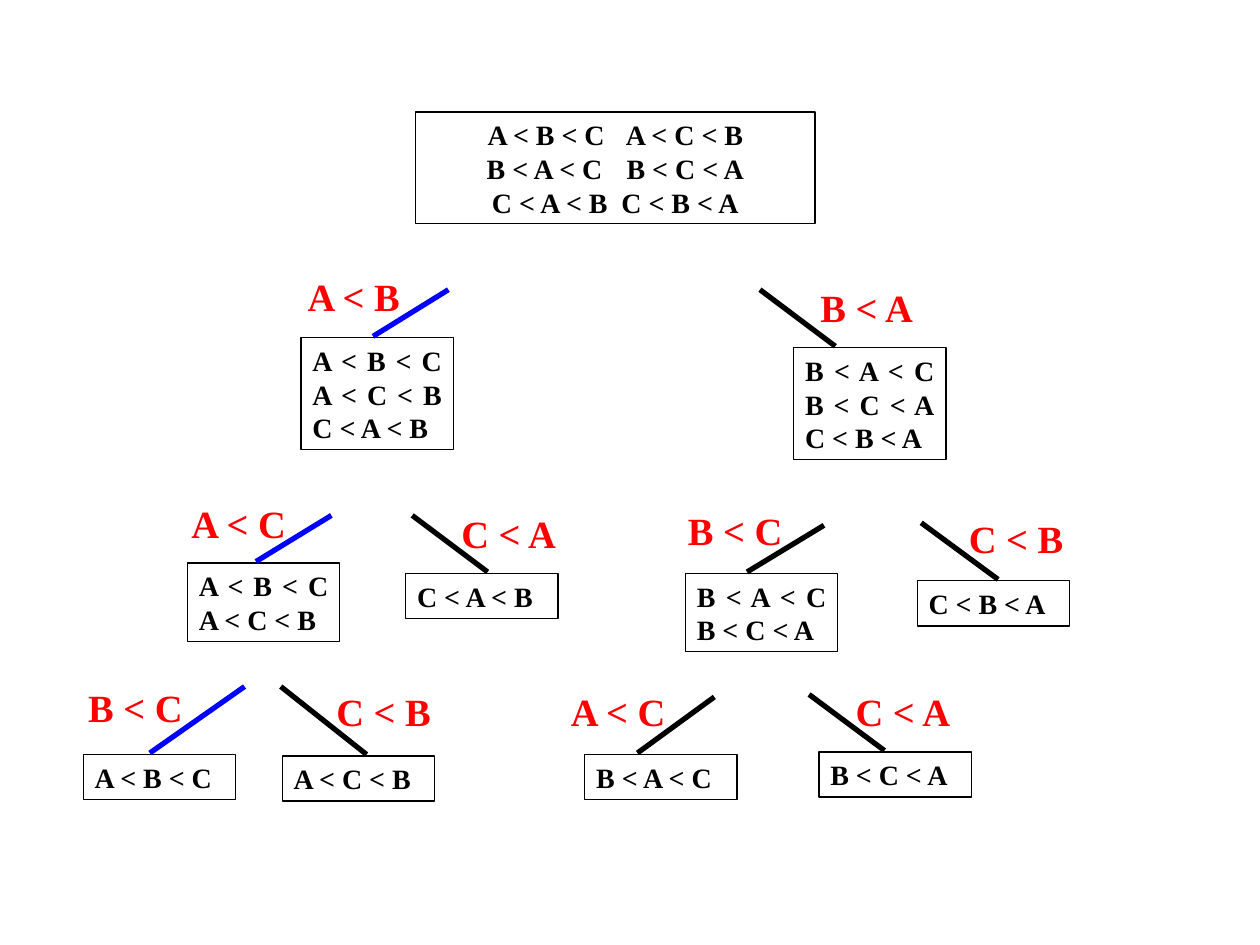
from copy import deepcopy
from dataclasses import dataclass

from lxml.etree import SubElement
from pptx import Presentation
from pptx.dml.color import RGBColor
from pptx.enum.shapes import MSO_CONNECTOR as Connector, MSO_SHAPE as Shape
from pptx.enum.text import MSO_ANCHOR as Anchor, MSO_AUTO_SIZE as AutoSize, PP_ALIGN as Align
from pptx.oxml.ns import qn
from pptx.util import Cm, Pt

COLORS = {"box": "FFFFFF", "ink": "000000", "label": "FF0000", "chosen": "0000FF"}
FONT = "Times New Roman"
BOX_WIDTH, LINE_HEIGHT, BOX_PADDING = 3.07, 0.67, 0.24
LABEL_WIDTH, LABEL_HEIGHT = 2.69, 1.17
LINE_GAP = 0.03
TAB_STEP, TAB_COUNT = 2.54, 8
FRAME_FORMAT = {
    "word_wrap": True,
    "auto_size": AutoSize.SHAPE_TO_FIT_TEXT,
    "vertical_anchor": Anchor.TOP,
    "margin_left": Cm(0.23),
    "margin_right": Cm(0.23),
    "margin_top": Cm(0.12),
    "margin_bottom": Cm(0.12),
}


@dataclass
class OrderBox:
    orders: list[str]
    left: float
    top: float
    width: float = BOX_WIDTH
    align: Align = Align.JUSTIFY


@dataclass
class Branch:
    comparison: str
    label_at: tuple[float, float]
    start: tuple[float, float]
    end_x: float
    box: OrderBox
    color: str = "ink"


ROOT = OrderBox(
    ["A < B < C\t  A < C < B", "B < A < C\t  B < C < A", "C < A < B  C < B < A"],
    8.38, 2.26, 8.05, Align.CENTER,
)
BRANCHES = [
    Branch("A < B", (5.97, 5.38), (9.04, 5.84), 7.52,
           OrderBox(["A < B < C", "A < C < B", "C < A < B"], 6.07, 6.81), "chosen"),
    Branch("B < A", (16.31, 5.61), (15.32, 5.84), 16.84,
           OrderBox(["B < A < C", "B < C < A", "C < B < A"], 16.0, 7.01)),
    Branch("A < C", (3.63, 9.96), (6.68, 10.39), 5.16,
           OrderBox(["A < B < C", "A < C < B"], 3.78, 11.35), "chosen"),
    Branch("C < A", (9.07, 10.16), (8.31, 10.39), 9.83,
           OrderBox(["C < A < B"], 8.18, 11.56)),
    Branch("B < C", (13.64, 10.11), (16.61, 10.59), 15.06,
           OrderBox(["B < A < C", "B < C < A"], 13.82, 11.56)),
    Branch("C < B", (19.3, 10.26), (18.57, 10.54), 20.12,
           OrderBox(["C < B < A"], 18.49, 11.71)),
    Branch("B < C", (1.55, 13.67), (4.93, 13.84), 3.02,
           OrderBox(["A < B < C"], 1.68, 15.21), "chosen"),
    Branch("C < B", (6.55, 13.74), (5.66, 13.84), 7.39,
           OrderBox(["A < C < B"], 5.69, 15.24)),
    Branch("A < C", (11.28, 13.74), (14.4, 14.05), 12.85,
           OrderBox(["B < A < C"], 11.79, 15.21)),
    Branch("C < A", (17.02, 13.74), (16.31, 14.0), 17.83,
           OrderBox(["B < C < A"], 16.51, 15.16)),
]


def rgb(name: str) -> RGBColor:
    return RGBColor.from_string(COLORS[name])


def write_text(shape, lines: list[str], size: int, color: str, align: Align) -> None:
    """Write the lines as one paragraph with line breaks and regular tab stops."""
    frame = shape.text_frame
    for name, value in FRAME_FORMAT.items():
        setattr(frame, name, value)
    paragraph = frame.paragraphs[0]
    paragraph.text = "\v".join(lines)
    paragraph.alignment = align
    for run in paragraph.runs:
        for name, value in {"name": FONT, "size": Pt(size), "bold": True}.items():
            setattr(run.font, name, value)
        run.font.color.rgb = rgb(color)
    run_format = paragraph.runs[0]._r.rPr
    for line_break in paragraph._p.findall(qn("a:br")):
        line_break.insert(0, deepcopy(run_format))
    tabs = SubElement(paragraph._p.get_or_add_pPr(), qn("a:tabLst"))
    for index in range(TAB_COUNT):
        SubElement(tabs, qn("a:tab"), pos=str(Cm(index * TAB_STEP)), algn="l")


def draw_box(slide, box: OrderBox) -> None:
    height = BOX_PADDING + LINE_HEIGHT * len(box.orders)
    shape = slide.shapes.add_shape(
        Shape.RECTANGLE, Cm(box.left), Cm(box.top), Cm(box.width), Cm(height))
    shape.shadow.inherit = False
    shape.fill.solid()
    shape.fill.fore_color.rgb = rgb("box")
    shape.line.color.rgb = rgb("ink")
    shape.line.width = Pt(0.75)
    write_text(shape, box.orders, 16, "ink", box.align)


def draw_line(slide, branch: Branch) -> None:
    """Draw the line that comes down to the top edge of the branch's box."""
    end = (branch.end_x, branch.box.top - LINE_GAP)
    line = slide.shapes.add_connector(
        Connector.STRAIGHT, *(Cm(value) for value in branch.start + end))
    line.line.color.rgb = rgb(branch.color)
    line.line.width = Pt(3)
    SubElement(line._element.spPr, qn("a:effectLst"))


def draw_label(slide, branch: Branch) -> None:
    left, top = branch.label_at
    label = slide.shapes.add_textbox(Cm(left), Cm(top), Cm(LABEL_WIDTH), Cm(LABEL_HEIGHT))
    write_text(label, [branch.comparison], 22, "label", Align.JUSTIFY)


def main() -> None:
    presentation = Presentation()
    presentation.slide_width, presentation.slide_height = Cm(25.4), Cm(19.05)
    slide = presentation.slides.add_slide(presentation.slide_layouts[6])
    draw_box(slide, ROOT)
    for branch in BRANCHES:
        draw_box(slide, branch.box)
    for branch in BRANCHES:
        draw_line(slide, branch)
    for branch in BRANCHES:
        draw_label(slide, branch)
    presentation.save("out.pptx")


if __name__ == "__main__":
    main()
